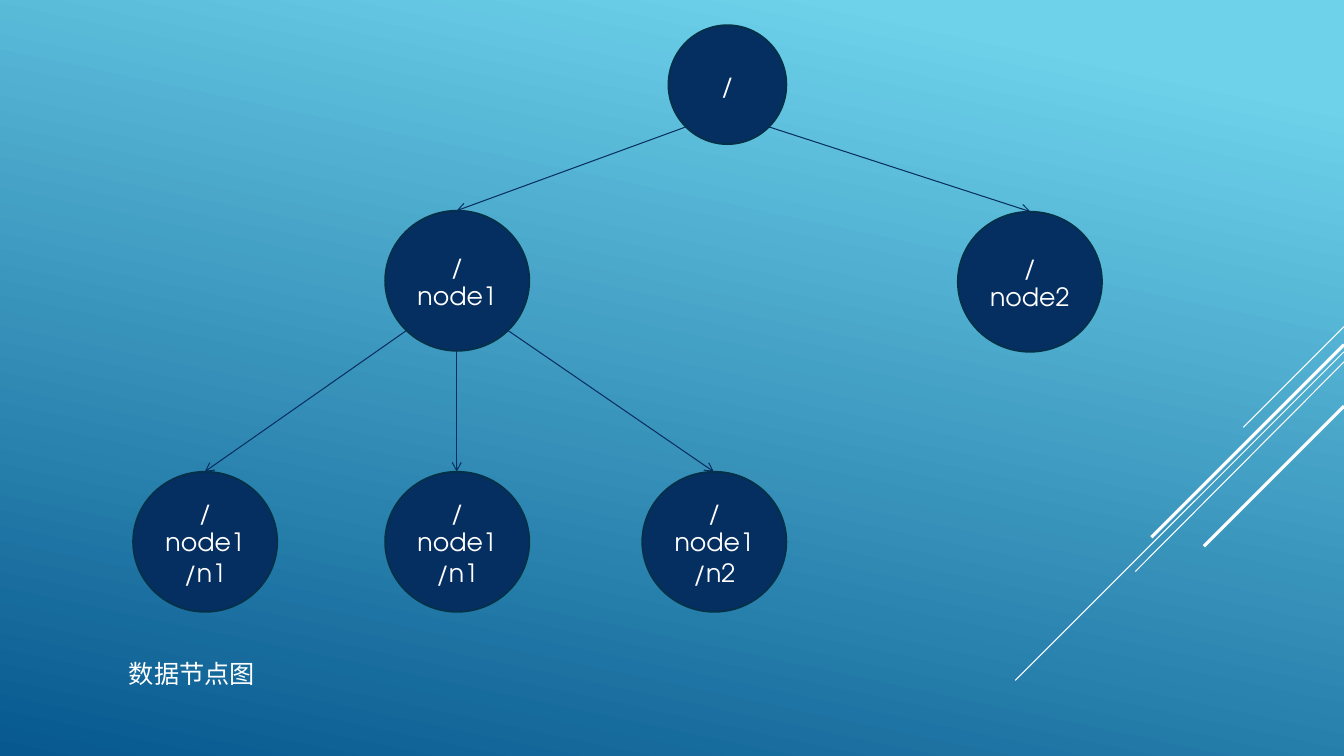
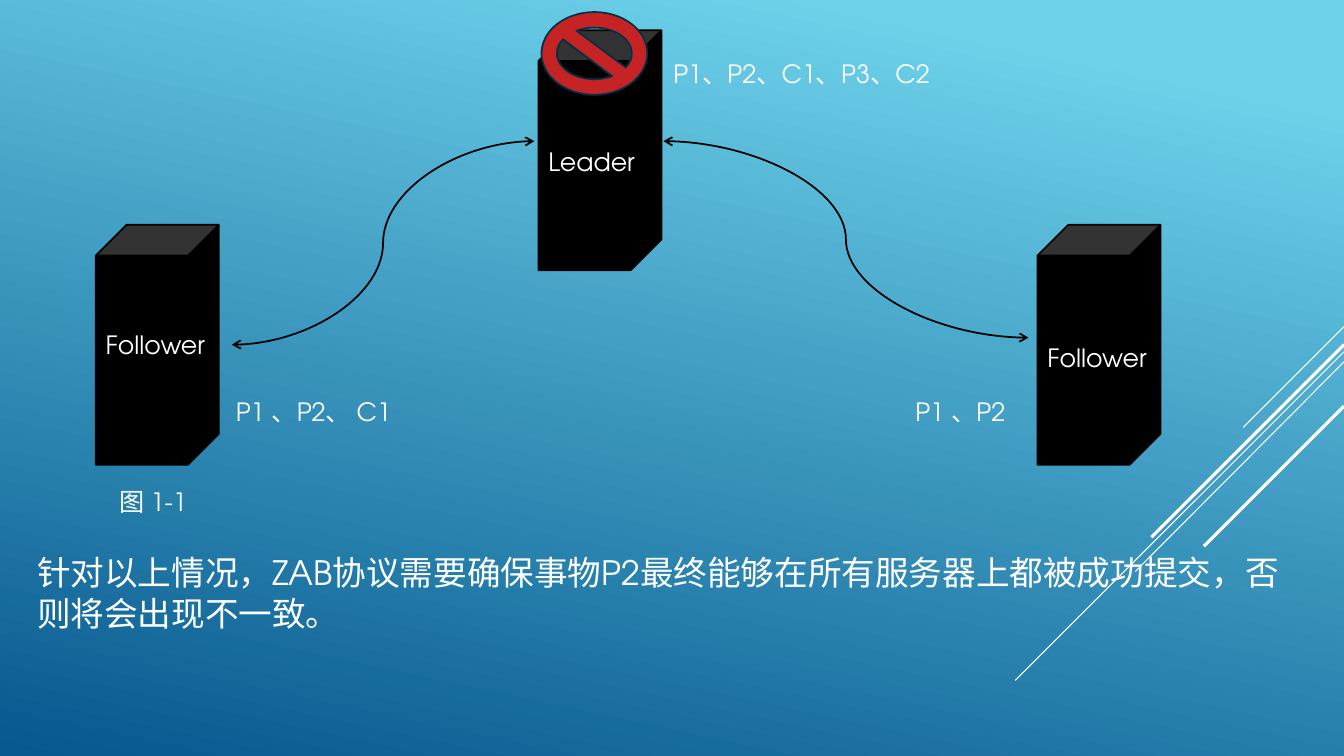
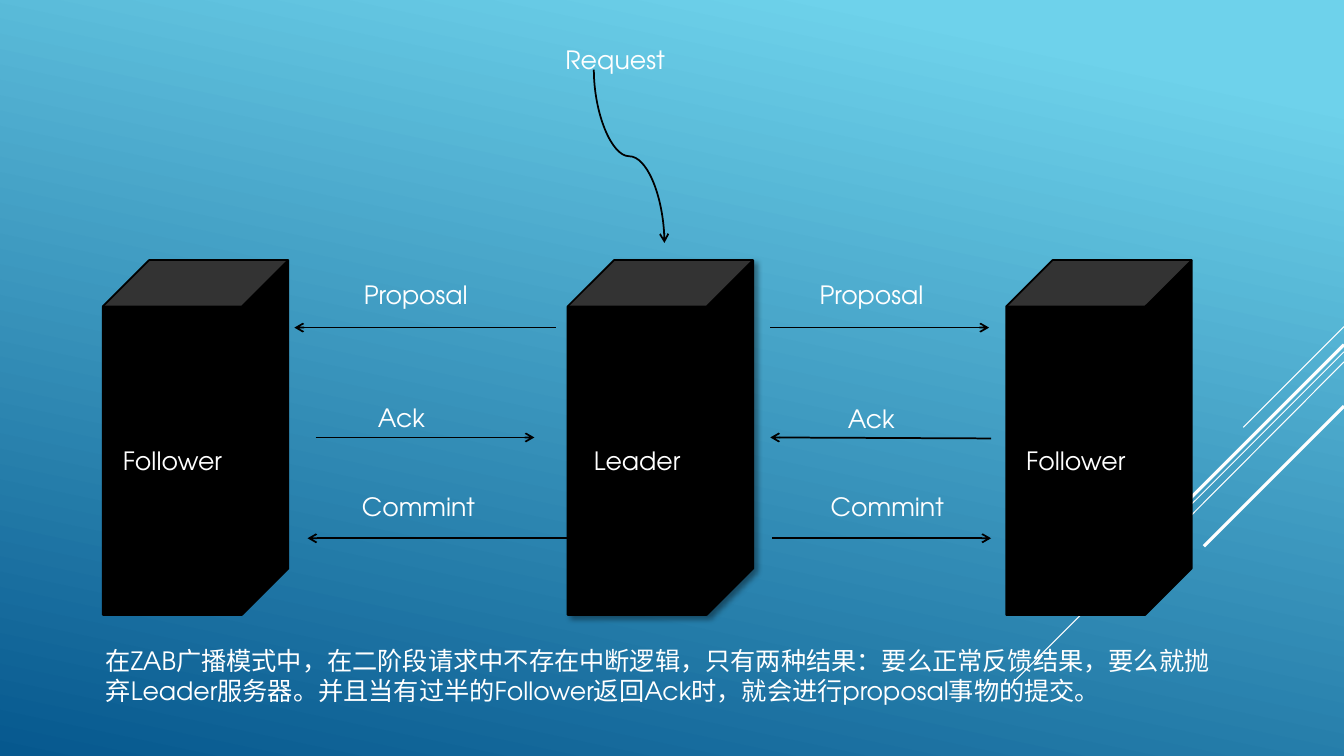
import pptx
import pptx.util
import pptx.dml.color
import pptx.enum.shapes
import pptx.enum.text
import pptx.oxml
import pptx.oxml.ns
import lxml.etree

Inches, Pt = pptx.util.Inches, pptx.util.Pt
RGB = pptx.dml.color.RGBColor.from_string
SHAPE = pptx.enum.shapes.MSO_SHAPE
CONNECTOR = pptx.enum.shapes.MSO_CONNECTOR
qn = pptx.oxml.ns.qn

FONT = "TeX Gyre Adventor"
COLORS = {"sky": "6ED2EB", "deep": "06588E", "navy": "052F61", "rim": "043148",
          "black": "000000", "white": "FFFFFF", "red": "C62324"}


def block(slide, kind, box, text="", fill=None, rim=None, size=18):
    """Place a filled shape, or a plain text box when kind is None."""
    place = [Inches(value) for value in box]
    if kind is None:
        item = slide.shapes.add_textbox(*place)
        item.text_frame.auto_size = pptx.enum.text.MSO_AUTO_SIZE.SHAPE_TO_FIT_TEXT
    else:
        item = slide.shapes.add_shape(kind, *place)
        item.shadow.inherit = False
        item.fill.solid()
        item.fill.fore_color.rgb = RGB(COLORS[fill])
        item.line.color.rgb = RGB(COLORS[rim])
        item.line.width = Pt(1.25)
    if text:
        item.text_frame.word_wrap = True
        item.text_frame.text = text
        paragraph = item.text_frame.paragraphs[0]
        if kind is not None:
            item.text_frame.vertical_anchor = pptx.enum.text.MSO_ANCHOR.MIDDLE
            paragraph.alignment = pptx.enum.text.PP_ALIGN.CENTER
        paragraph.font.name = FONT
        paragraph.font.size = Pt(size)
        paragraph.font.color.rgb = RGB(COLORS["white"])
    return item


def link(slide, ends, color="black", width=1.25, arrows=("tailEnd",),
         kind=CONNECTOR.STRAIGHT):
    """Draw a line from ends[0:2] to ends[2:4] with the named arrowheads."""
    line = slide.shapes.add_connector(kind, *[Inches(value) for value in ends])
    line.line.color.rgb = RGB(COLORS[color])
    line.line.width = Pt(width)
    outline = line.line._get_or_add_ln()
    for arrow in arrows:
        lxml.etree.SubElement(outline, qn("a:" + arrow), type="arrow")
    lxml.etree.SubElement(line.element.spPr, qn("a:effectLst"))
    return line


deck = pptx.Presentation()
deck.slide_width, deck.slide_height = Inches(13.33), Inches(7.5)
blank = deck.slide_layouts[6]
tree, crash, broadcast = [deck.slides.add_slide(blank) for _ in range(3)]

# Shared background gradient
backdrop = deck.slide_master.background.fill
backdrop.gradient()
backdrop.gradient_angle = 258
for stop, (position, color) in zip(backdrop.gradient_stops, [(0.1, "sky"), (1, "deep")]):
    stop.position = position
    stop.color.rgb = RGB(COLORS[color])

# Shared diagonal strokes, kept on the layout
for top, end_x, end_y, width in [(3.24, 12.33, 4.24, 0.75), (3.49, 10.07, 6.75, 0.75),
                                 (3.59, 11.26, 5.67, 0.75), (3.42, 11.42, 5.33, 2.25),
                                 (4.03, 11.94, 5.42, 2.25)]:
    stroke = link(tree, (13.33, top, end_x, end_y), "white", width, ())
    blank.shapes.element.append(stroke.element)

# Slide 1: tree of data nodes
block(tree, SHAPE.OVAL, (6.63, 0.25, 1.17, 1.18), "/", "navy", "rim")
for left, top, name in [(3.82, 2.09, "/node1"), (9.5, 2.1, "/node2"),
                        (1.32, 4.68, "/node1/n1"), (6.37, 4.68, "/node1/n2"),
                        (3.82, 4.68, "/node1/n1")]:
    block(tree, SHAPE.OVAL, (left, top, 1.43, 1.39), name, "navy", "rim")
for branch in [(6.8, 1.26, 4.53, 2.09), (7.63, 1.26, 10.22, 2.1),
               (4.03, 3.28, 2.03, 4.68), (4.53, 3.48, 4.53, 4.68),
               (5.04, 3.28, 7.08, 4.68)]:
    link(tree, branch, "navy", 0.75)
block(tree, None, (1.18, 6.48, 4.3, 0.4), "数据节点图")

# Slide 2: leader failure
for left, top in [(0.95, 2.23), (10.29, 2.23), (5.34, 0.3)]:
    block(crash, SHAPE.CUBE, (left, top, 1.22, 2.38), "", "black", "black")
for left, top, width, text in [(10.29, 3.35, 1.35, "Follower"),
                               (0.95, 3.22, 1.35, "Follower"),
                               (5.34, 1.4, 1.33, "Leader"),
                               (6.58, 0.53, 3.17, "P1、P2、C1、P3、C2"),
                               (2.24, 3.88, 2.24, "P1 、P2、 C1"),
                               (8.98, 3.88, 1.3, "P1 、P2"),
                               (1.09, 4.78, 1.81, "图 1-1")]:
    block(crash, None, (left, top, width, 0.4), text)
for ends in [(5.3, 1.4, 2.3, 3.42), (6.58, 1.4, 10.2, 3.35)]:
    link(crash, ends, arrows=("headEnd", "tailEnd"), kind=CONNECTOR.CURVE)
block(crash, None, (0.27, 5.43, 12.8, 0.9),
      "针对以上情况，ZAB协议需要确保事物P2最终能够在所有服务器上都被成功提交，"
      "否则将会出现不一致。", size=24)
block(crash, SHAPE.NO_SYMBOL, (5.37, 0.12, 1.05, 0.82), "", "red", "rim")

# Slide 3: servers in broadcast mode
servers = [block(broadcast, SHAPE.CUBE, (left, 2.58, 1.84, 3.52), role, "black", "black")
           for left, role in [(1.02, "Follower"), (5.63, "Leader"), (9.98, "Follower")]]
leader_effects = servers[1].element.spPr.find(qn("a:effectLst"))
leader_shadow = lxml.etree.SubElement(
    leader_effects, qn("a:outerShdw"), blurRad=str(Pt(4)), dist=str(Pt(3)),
    dir="2700000", algn="tl", rotWithShape="0")
shadow_color = lxml.etree.SubElement(leader_shadow, qn("a:srgbClr"), val=COLORS["black"])
lxml.etree.SubElement(shadow_color, qn("a:alpha"), val="40000")

# Incoming request: a curve turned to leave downwards
request = link(broadcast, (5.38, 1.9, 7.1, 1.2), kind=CONNECTOR.CURVE)
request.element.spPr.find(qn("a:xfrm")).set("rot", "5400000")

# Messages between leader and followers
for ends in [(5.51, 3.25, 2.92, 3.25), (7.64, 3.25, 9.81, 3.25),
             (3.13, 4.34, 5.3, 4.34), (9.83, 4.35, 7.64, 4.34),
             (5.63, 5.34, 3.05, 5.34), (7.66, 5.34, 9.83, 5.34)]:
    link(broadcast, ends)
for left, top, width, message in [(5.51, 0.39, 1.45, "Request"),
                                  (8.03, 2.72, 1.4, "Proposal"),
                                  (3.51, 2.72, 1.4, "Proposal"),
                                  (3.65, 3.94, 1.12, "Ack"),
                                  (8.31, 3.95, 1.12, "Ack"),
                                  (3.49, 4.83, 1.45, "Commint"),
                                  (8.14, 4.83, 1.45, "Commint")]:
    block(broadcast, None, (left, top, width, 0.4), message)
block(broadcast, None, (0.95, 6.35, 11.31, 0.7),
      "在ZAB广播模式中，在二阶段请求中不存在中断逻辑，只有两种结果：要么正常反馈结果，"
      "要么就抛弃Leader服务器。并且当有过半的Follower返回Ack时，就会进行proposal事物的提交。")

deck.save("out.pptx")
